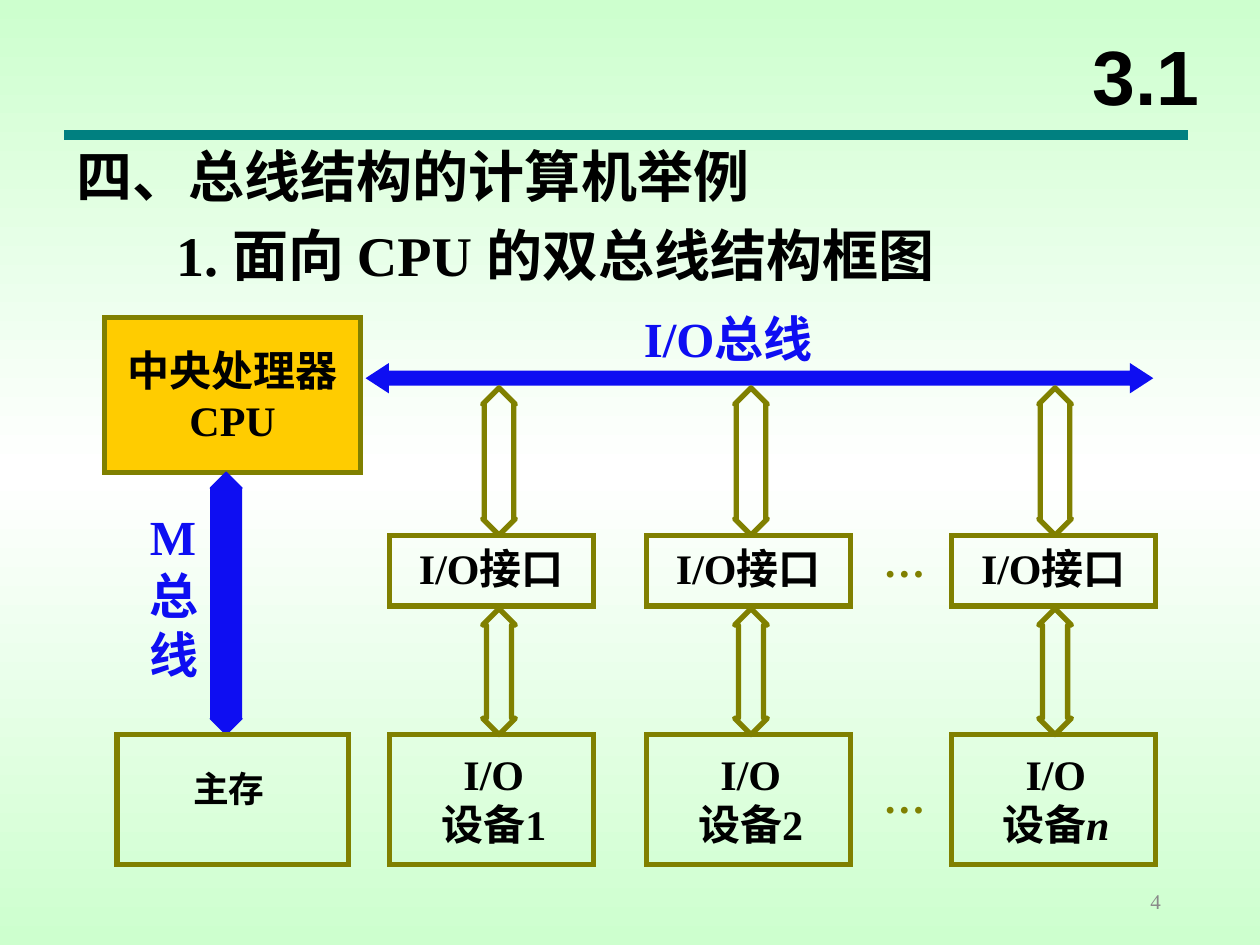
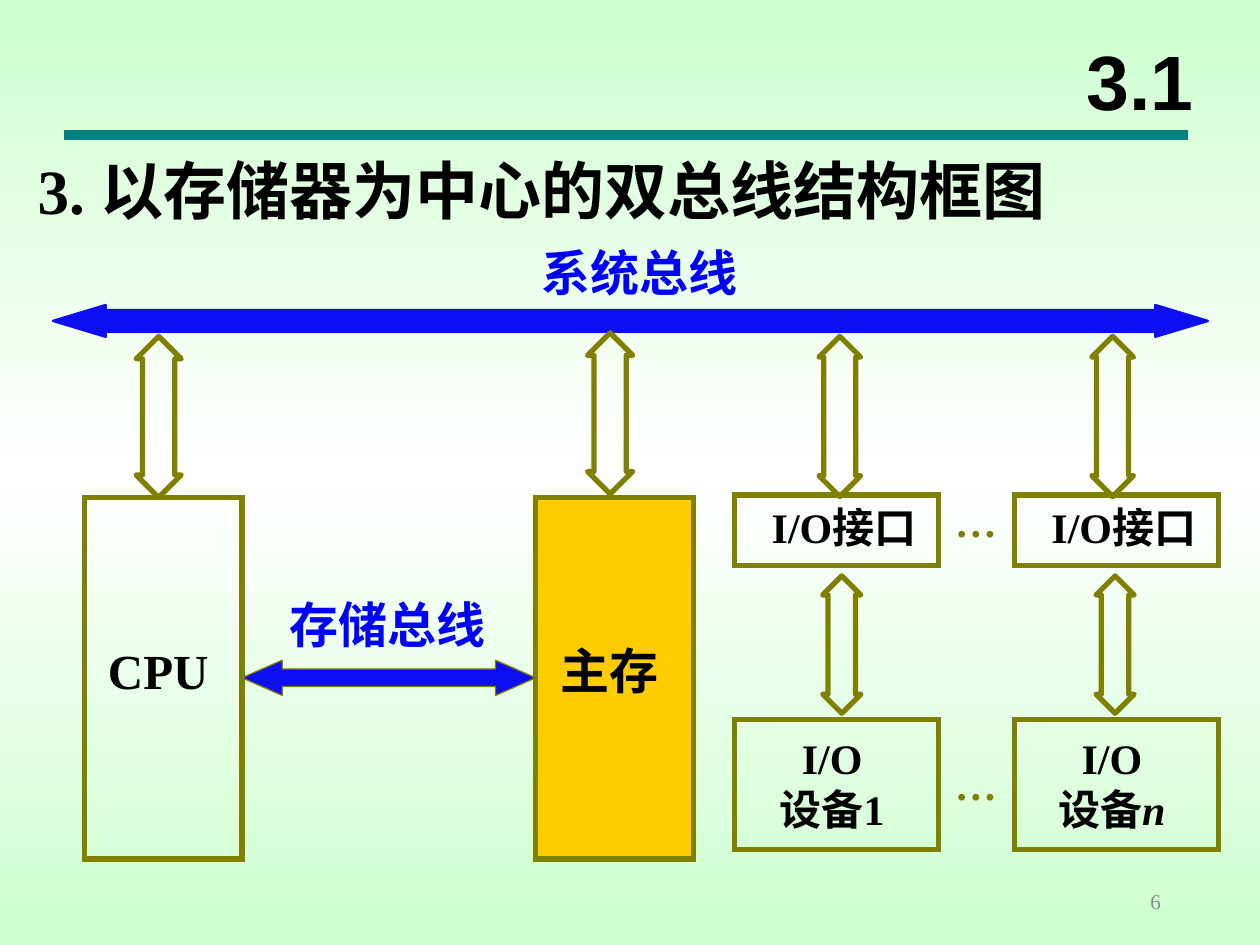
from lxml.etree import SubElement
from pptx import Presentation
from pptx.dml.color import RGBColor
from pptx.enum.shapes import MSO_CONNECTOR, MSO_SHAPE
from pptx.enum.text import MSO_ANCHOR, PP_ALIGN
from pptx.oxml.ns import qn
from pptx.util import Cm, Pt

HUES = {
    "ink": "000000", "mint": "CDFFCE", "white": "FFFFFF", "teal": "008080",
    "olive": "808000", "gold": "FFCC00", "bus": "0E0EF2", "blue": "0000FF",
    "grey": "898989",
}
SERIF = "Times New Roman"
HAN = "Noto Sans CJK SC"
INSET = (0.25, 0.13, 0.25, 0.13)
BARE = (0, 0, 0, 0)

DUAL = {
    "port": 10.8, "unit": 14.81, "links": ((7.82, 2.97, 0.66), (12.27, 2.54, 0.66)),
    "skew": (0, 0.05),
}
CORE = {
    "port": 9.98, "unit": 14.5, "links": ((6.78, 3.23, 0.84), (11.61, 2.77, 0.77)),
    "skew": (0.15, -0.09),
}


def tint(name):
    return RGBColor.from_string(HUES[name])


def place(shape, box):
    shape.left, shape.top, shape.width, shape.height = map(Cm, box)


def write(shape, lines, size, hue="ink", face=SERIF, bold=True,
          align=PP_ALIGN.LEFT, anchor=MSO_ANCHOR.TOP, inset=INSET, wrap=True):
    frame = shape.text_frame
    frame.word_wrap = wrap
    frame.vertical_anchor = anchor
    (frame.margin_left, frame.margin_top,
     frame.margin_right, frame.margin_bottom) = map(Cm, inset)
    for i, line in enumerate(lines):
        para = frame.add_paragraph() if i else frame.paragraphs[0]
        para.alignment = align
        for text, slant in line:
            run = para.add_run()
            run.text = text
            font = run.font
            font.name, font.size, font.bold = face, Pt(size), bold
            if slant:
                font.italic = True
            font.color.rgb = tint(hue)
            SubElement(font._element, qn("a:ea")).set("typeface", HAN)


def plain(*texts):
    return [[(text, False)] for text in texts]


def label(slide, box, texts, size, **style):
    shape = slide.shapes.add_textbox(*map(Cm, box))
    write(shape, plain(*texts), size, **style)


def draw(slide, kind, box, fill, edge, width, join):
    shape = slide.shapes.add_shape(kind, *map(Cm, box))
    shape.shadow.inherit = False
    if fill:
        shape.fill.solid()
        shape.fill.fore_color.rgb = tint(fill)
    else:
        shape.fill.background()
    if edge:
        shape.line.color.rgb = tint(edge)
        shape.line.width = Pt(width)
        SubElement(shape.line._ln, qn("a:" + join))
    else:
        shape.line.fill.background()
    return shape


def block(slide, box, lines, size=24, fill=None, skew=0, top=0.13, foot=0.13,
          anchor=MSO_ANCHOR.TOP):
    shape = draw(slide, MSO_SHAPE.RECTANGLE, box, fill, "olive", 3, "miter")
    inset = (0.25 + max(2 * skew, 0), top, 0.25 + max(-2 * skew, 0), foot)
    write(shape, lines, size, align=PP_ALIGN.CENTER, anchor=anchor, inset=inset)
    return shape


def arrow(slide, kind, box, shaft, head, fill=None, edge="olive", width=3):
    shape = draw(slide, kind, box, fill, edge, width, "round")
    shape.adjustments[0] = shaft
    shape.adjustments[1] = head / min(box[2:])


def link(slide, mid, top, tall, wide):
    box = (mid - wide / 2, top, wide, tall)
    arrow(slide, MSO_SHAPE.UP_DOWN_ARROW, box, 0.5, 0.2 * tall)


def column(slide, grid, x, mids, mark, slant=False):
    for mid, spec in zip(mids, grid["links"]):
        link(slide, x + mid, *spec)
    port, unit = grid["skew"]
    block(slide, (x, grid["port"], 4.11, 1.42), plain("I/O接口"), skew=port)
    lines = plain("I/O") + [[("设备", False), (mark, slant)]]
    block(slide, (x, grid["unit"], 4.11, 2.62), lines, skew=unit, top=0.27)


def dots(slide, grid, x, drop):
    for top in (grid["port"], grid["unit"] + drop):
        label(slide, (x, top, 1.04, 1.02), ["…"], 24, hue="olive", inset=BARE)


def paint(deck):
    master = deck.slide_master
    fill = master.background.fill
    fill.gradient()
    fill.gradient_angle = 90
    stops = master.element.find(".//" + qn("a:gsLst"))
    for stop in list(stops):
        stops.remove(stop)
    for spot, hue in ((0, "mint"), (50, "white"), (100, "mint")):
        stop = SubElement(stops, qn("a:gs"), pos=str(spot * 1000))
        SubElement(stop, qn("a:srgbClr"), val=HUES[hue])


def start(deck, spot, page):
    slide = deck.slides.add_slide(deck.slide_layouts[5])
    rule = slide.shapes.add_connector(
        MSO_CONNECTOR.STRAIGHT, Cm(1.3), Cm(2.72), Cm(23.95), Cm(2.72))
    rule.line.color.rgb = tint("teal")
    rule.line.width = Pt(6)
    SubElement(rule._element.spPr, qn("a:effectLst"))
    title = slide.shapes.title
    place(title, (*spot, 3.18, 2.34))
    write(title, plain("3.1"), 44, face="Arial", align=PP_ALIGN.CENTER,
          anchor=MSO_ANCHOR.MIDDLE)
    label(slide, (17.93, 17.65, 5.72, 1.02), [page], 12, hue="grey", bold=False,
          align=PP_ALIGN.RIGHT, anchor=MSO_ANCHOR.MIDDLE)
    return slide


def dual(deck):
    slide = start(deck, (21.51, 0.33), "4")
    label(slide, (1.3, 2.72, 17.65, 1.63), ["四、总线结构的计算机举例"], 32)
    label(slide, (3.3, 4.32, 17.68, 1.63), ["1. 面向 CPU 的双总线结构框图"], 32)
    block(slide, (2.11, 6.4, 5.16, 3.12), plain("中央处理器", "CPU"), fill="gold",
          anchor=MSO_ANCHOR.MIDDLE)
    label(slide, (12.98, 6.22, 5.03, 1.19), ["I/O总线"], 28, hue="bus", inset=BARE)
    arrow(slide, MSO_SHAPE.LEFT_RIGHT_ARROW, (7.37, 7.32, 15.88, 0.61), 0.5, 0.47,
          fill="bus", edge=None)
    label(slide, (3.02, 10.21, 1.19, 3.56), ["M", "总", "线"], 28, hue="bus",
          inset=BARE)
    arrow(slide, MSO_SHAPE.UP_DOWN_ARROW, (4.24, 9.52, 0.64, 5.29), 0.5, 0.62,
          fill="bus", edge="bus", width=0.75)
    store = block(slide, (2.36, 14.81, 4.67, 2.62), plain("主存"), size=20.4,
                  skew=-0.08, top=0.74)
    store.text_frame.paragraphs[0].line_spacing = 0.9
    for x, mid, mark in ((7.85, 2.21, "1"), (13.03, 2.11, "2"), (19.18, 2.09, "n")):
        column(slide, DUAL, x, (mid, mid), mark, mark == "n")
    dots(slide, DUAL, 17.81, 0.74)


def core(deck):
    slide = start(deck, (21.39, 0.43), "6")
    label(slide, (0.51, 2.92, 22.02, 1.78), ["3. 以存储器为中心的双总线结构框图"], 36)
    label(slide, (10.92, 4.88, 6.43, 1.19), ["系统总线"], 28, hue="blue", inset=BARE)
    arrow(slide, MSO_SHAPE.LEFT_RIGHT_ARROW, (1.07, 6.15, 23.28, 0.64), 0.68, 1.06,
          fill="bus", edge="bus", width=1.39)
    for x, text, fill, mid, top in ((1.7, "CPU", None, 1.5, 6.78),
                                    (10.8, "主存", "gold", 1.5, 6.71)):
        link(slide, x + mid, top, 3.25, 0.91)
        block(slide, (x, 10.03, 3.18, 7.29), plain(text), size=28, fill=fill,
              skew=-0.1, foot=0.45, anchor=MSO_ANCHOR.MIDDLE)
    for x, mids, mark in ((14.81, (2.12, 2.16), "1"), (20.45, (1.98, 2.03), "n")):
        column(slide, CORE, x, mids, mark, mark == "n")
    dots(slide, CORE, 19.25, 0.79)
    arrow(slide, MSO_SHAPE.LEFT_RIGHT_ARROW, (4.88, 13.31, 5.92, 0.71), 0.5, 0.81,
          fill="bus", width=0.75)
    label(slide, (5.59, 11.86, 4.45, 1.45), ["存储总线"], 28, hue="blue", wrap=False)


def main():
    deck = Presentation()
    deck.slide_width, deck.slide_height = Cm(25.4), Cm(19.05)
    paint(deck)
    dual(deck)
    core(deck)
    deck.save("out.pptx")


if __name__ == "__main__":
    main()
